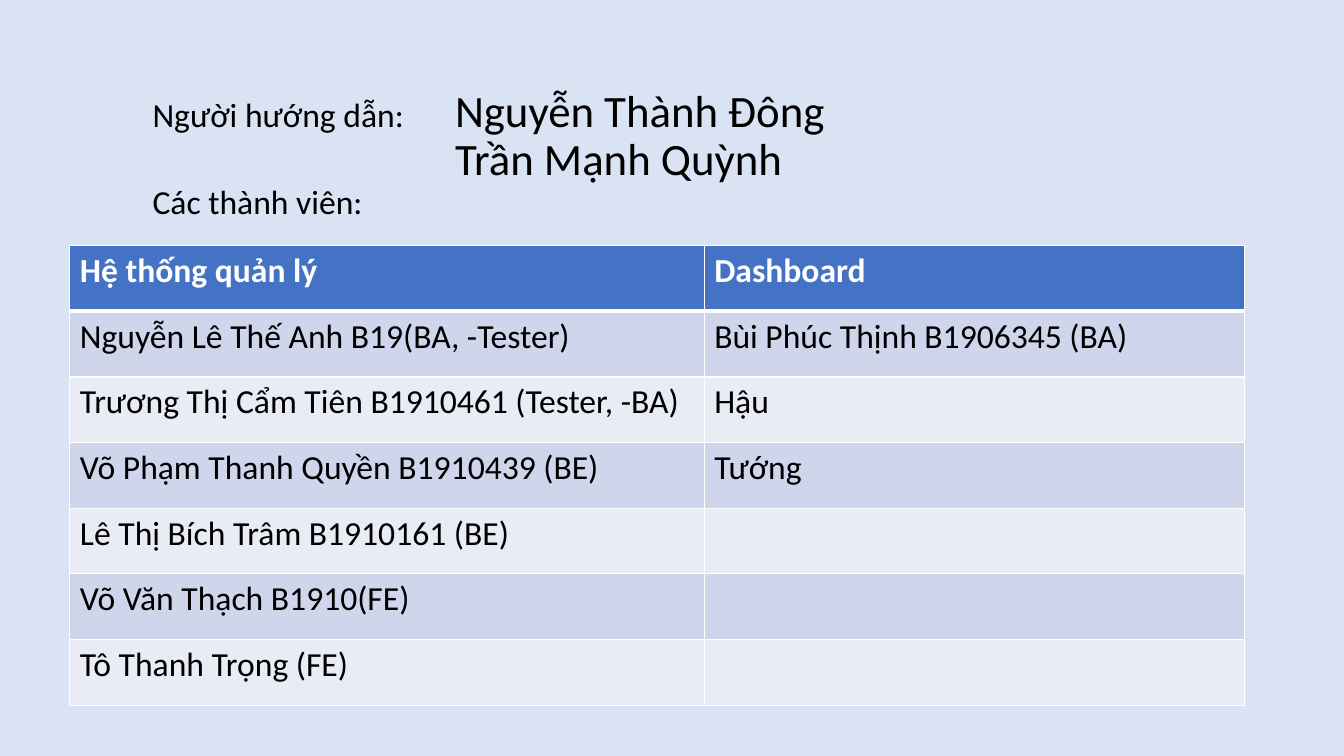
from dataclasses import dataclass

from lxml import etree
from pptx import Presentation
from pptx.dml.color import RGBColor
from pptx.enum import text
from pptx.oxml import ns
from pptx.util import Inches, Pt


@dataclass(frozen=True)
class Theme:
    font: str = "Calibri"
    body: int = 24
    names: int = 32
    page: str = "DAE3F3"
    ink: str = "000000"
    white: str = "FFFFFF"
    header: str = "4472C4"
    bands: tuple = ("CFD5EA", "E9EBF5")
    rule: int = 1
    header_rule: int = 3


def write(para, words, *, theme, size, color, bold=False):
    """Add one formatted span to a paragraph."""
    span = para.add_run()
    span.text = words
    span.font.name = theme.font
    span.font.size = Pt(size)
    span.font.bold = bold
    span.font.color.rgb = RGBColor.from_string(color)


class Slide:
    def __init__(self, deck, theme):
        self.theme = theme
        self.width, self.height = deck.slide_width, deck.slide_height
        self.page = deck.slides.add_slide(deck.slide_layouts[5])
        fill = self.page.background.fill
        fill.solid()
        fill.fore_color.rgb = RGBColor.from_string(theme.page)

    def area(self, left, top, width, height):
        """Turn shares of the slide's size into lengths."""
        return (round(left * self.width), round(top * self.height),
                round(width * self.width), round(height * self.height))

    def title(self, area, lines, tab):
        """Fill the title; each line is a list of (words, size) spans."""
        box = self.page.shapes.title
        box.left, box.top, box.width, box.height = self.area(*area)
        frame = box.text_frame
        frame.word_wrap = True
        frame.auto_size = text.MSO_AUTO_SIZE.NONE
        frame.vertical_anchor = text.MSO_ANCHOR.BOTTOM
        for number, spans in enumerate(lines):
            para = frame.add_paragraph() if number else frame.paragraphs[0]
            para.alignment = text.PP_ALIGN.LEFT
            para.line_spacing = 0.9
            stops = etree.SubElement(para._p.get_or_add_pPr(), ns.qn("a:tabLst"))
            etree.SubElement(stops, ns.qn("a:tab"), pos=str(Inches(tab)), algn="l")
            for words, size in spans:
                write(para, words, theme=self.theme, size=size, color=self.theme.ink)

    def borders(self, cell, **widths):
        """Draw white cell borders, given in points by side."""
        props = cell._tc.get_or_add_tcPr()
        for side in "LRTB":
            line = etree.SubElement(props, ns.qn(f"a:ln{side}"),
                                    w=str(Pt(widths.get(side, self.theme.rule))))
            fill = etree.SubElement(line, ns.qn("a:solidFill"))
            etree.SubElement(fill, ns.qn("a:srgbClr"), val=self.theme.white)

    def table(self, area, rows, shares):
        """Add a table with a header row and banded rows."""
        theme = self.theme
        left, top, width, height = self.area(*area)
        grid = self.page.shapes.add_table(
            len(rows), len(shares), left, top, width, height).table
        for column, share in zip(grid.columns, shares):
            column.width = round(width * share)
        for r, row in enumerate(rows):
            grid.rows[r].height = round(height / len(rows))
            heading = r == 0
            thick = {0: {"B": theme.header_rule}, 1: {"T": theme.header_rule}}.get(r, {})
            for c, words in enumerate(row):
                cell = grid.cell(r, c)
                self.borders(cell, **thick)
                cell.fill.solid()
                cell.fill.fore_color.rgb = RGBColor.from_string(
                    theme.header if heading else theme.bands[(r - 1) % 2])
                if words:
                    write(cell.text_frame.paragraphs[0], words, theme=theme,
                          size=theme.body, bold=heading,
                          color=theme.white if heading else theme.ink)


# Deck
deck = Presentation()
deck.slide_width, deck.slide_height = Inches(13.33), Inches(7.5)
theme = Theme()
slide = Slide(deck, theme)

# Supervisors and the heading of the member list
slide.title((0.106, 0.067, 0.82, 0.233), [
    [("Người hướng dẫn: \t", theme.body), ("Nguyễn Thành Đông", theme.names)],
    [("\tTrần Mạnh Quỳnh", theme.names)],
    [("Các thành viên:", theme.body)],
], tab=3)

# Members by team
slide.table((0.052, 0.325, 0.874, 0.608), [
    ("Hệ thống quản lý", "Dashboard"),
    ("Nguyễn Lê Thế Anh B19(BA, -Tester)", "Bùi Phúc Thịnh B1906345 (BA)"),
    ("Trương Thị Cẩm Tiên B1910461 (Tester, -BA)", "Hậu"),
    ("Võ Phạm Thanh Quyền B1910439 (BE)", "Tướng"),
    ("Lê Thị Bích Trâm B1910161 (BE)", ""),
    ("Võ Văn Thạch B1910(FE)", ""),
    ("Tô Thanh Trọng (FE)", ""),
], shares=(0.54, 0.46))

deck.save("out.pptx")
